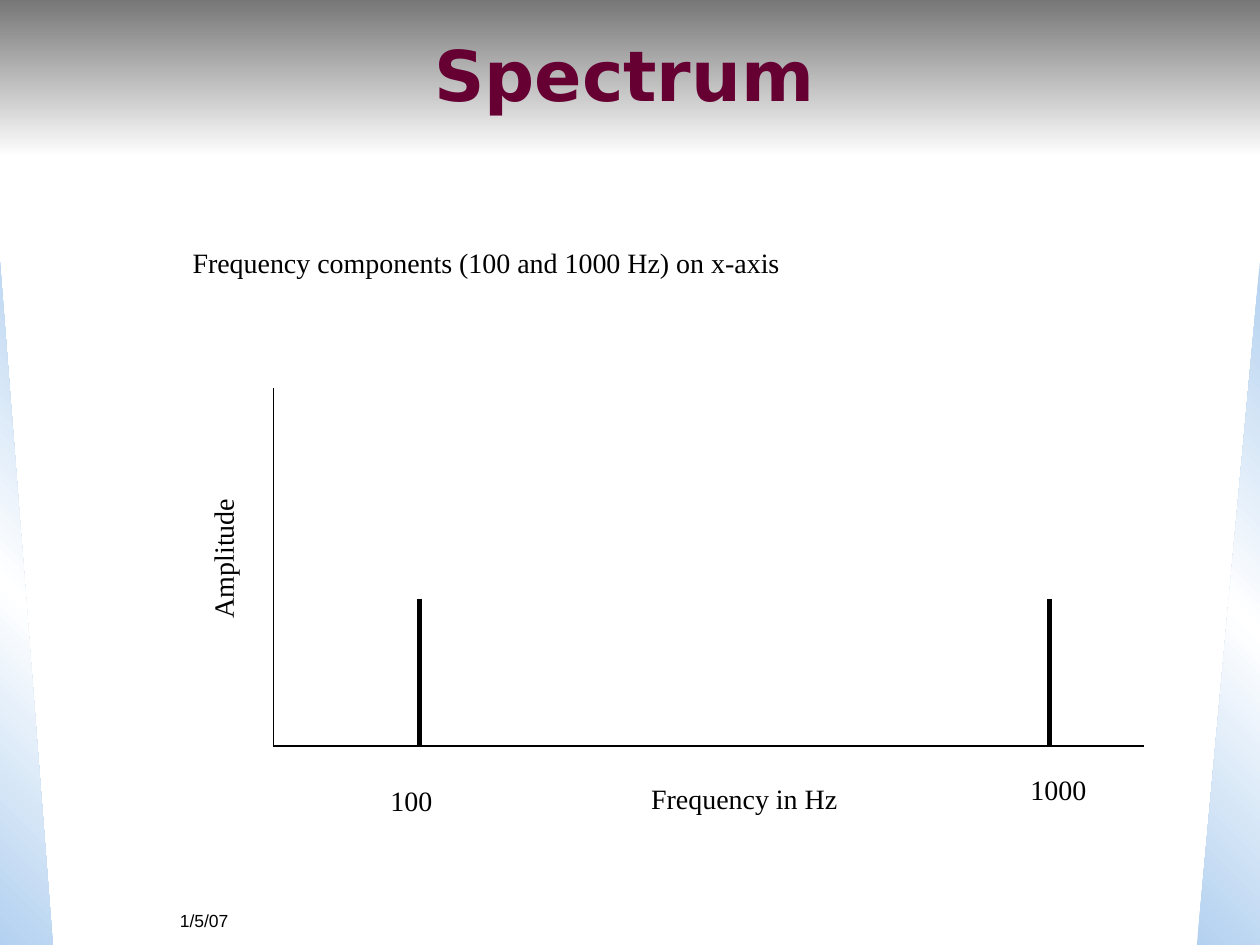
from copy import deepcopy

from lxml.etree import SubElement
from pptx import Presentation
from pptx.dml.color import RGBColor
from pptx.enum.shapes import MSO_CONNECTOR, MSO_SHAPE
from pptx.enum.text import MSO_ANCHOR, MSO_AUTO_SIZE, PP_ALIGN
from pptx.oxml.ns import qn
from pptx.util import Inches, Pt

BLACK = "000000"
EDGE_COLORS = ["B3D1F0", "FFFFFF", "B3D1F0"]
AXIS_X, AXIS_Y = 2.17, 5.92


def color(hex_text):
    """Turn a hex string into a colour."""
    return RGBColor.from_string(hex_text)


def style_font(paragraph, name, size, hex_text, bold=False):
    """Set the font of a whole paragraph."""
    font = paragraph.font
    font.name, font.size, font.bold = name, Pt(size), bold
    font.color.rgb = color(hex_text)


def add_gradient_shape(slide, preset, box, colors, clockwise_angle, mirrored=False):
    """Add a borderless decoration with evenly spaced gradient colours."""
    shape = slide.shapes.add_shape(preset, *map(Inches, box))
    shape.shadow.inherit = False
    shape.line.fill.background()
    shape.fill.gradient()
    shape.fill.gradient_angle = 360 - clockwise_angle
    properties = shape._element.spPr
    stop_list = properties.find(qn("a:gradFill")).find(qn("a:gsLst"))
    for _ in colors[2:]:
        stop_list.append(deepcopy(stop_list[0]))
    for index, (stop, hex_text) in enumerate(zip(shape.fill.gradient_stops, colors)):
        stop.color.rgb = color(hex_text)
        stop.position = index / (len(colors) - 1)
    if mirrored:
        properties.find(qn("a:xfrm")).set("flipH", "1")


def add_title(slide, text):
    """Fill the title and bring it in front of the top band."""
    title = slide.shapes.title
    title.left, title.top, title.width, title.height = map(Inches, (0.08, 0, 9.75, 1.17))
    title.text_frame.text = text
    title.text_frame.vertical_anchor = MSO_ANCHOR.MIDDLE
    paragraph = title.text_frame.paragraphs[0]
    paragraph.alignment = PP_ALIGN.CENTER
    style_font(paragraph, "DejaVu Sans", 40, "660033", bold=True)
    slide.shapes._spTree.append(title._element)


def add_label(slide, text, box, font="Times New Roman", size=16, wrap=True, rotation=0):
    """Add a one-line text box."""
    label = slide.shapes.add_textbox(*map(Inches, box))
    label.rotation = rotation
    frame = label.text_frame
    frame.word_wrap = wrap
    frame.auto_size = MSO_AUTO_SIZE.NONE
    frame.text = text
    style_font(frame.paragraphs[0], font, size, BLACK)


def add_line(slide, start, end, width):
    """Add a straight black line without a shadow."""
    line = slide.shapes.add_connector(
        MSO_CONNECTOR.STRAIGHT, *map(Inches, (*start, *end)))
    line.line.color.rgb = color(BLACK)
    line.line.width = Pt(width)
    SubElement(line._element.spPr, qn("a:effectLst"))


def add_spectrum(slide):
    """Draw the axes, the two components and their labels."""
    origin = (AXIS_X, AXIS_Y)
    add_line(slide, (AXIS_X, 3.08), origin, 0.75)
    add_line(slide, origin, (9.08, AXIS_Y), 0.75)
    for component_x in (3.33, 8.33):
        add_line(slide, (component_x, 4.75), (component_x, AXIS_Y), 3)
    add_label(slide, "100", (3, 6.17, 1.25, 0.37))
    add_label(slide, "1000", (8.08, 6.08, 1.08, 0.37))
    add_label(slide, "Frequency in Hz", (5.07, 6.15, 1.67, 0.37), wrap=False)
    add_label(slide, "Amplitude", (1.06, 4.11, 1.42, 0.37), rotation=270)


def main():
    """Build and save the slide."""
    presentation = Presentation()
    presentation.slide_width, presentation.slide_height = Inches(10), Inches(7.5)
    slide = presentation.slides.add_slide(presentation.slide_layouts[5])
    add_gradient_shape(slide, MSO_SHAPE.RECTANGLE, (0, 0, 10, 1.25),
                       ["777777", "FFFFFF"], 90)
    add_gradient_shape(slide, MSO_SHAPE.RIGHT_TRIANGLE, (0, 2.08, 0.42, 5.42),
                       EDGE_COLORS, 135)
    add_gradient_shape(slide, MSO_SHAPE.RIGHT_TRIANGLE, (9.5, 2.08, 0.5, 5.42),
                       EDGE_COLORS, 225, mirrored=True)
    add_title(slide, "Spectrum")
    add_label(slide, "1/5/07", (1.33, 7.17, 8.17, 0.33), font="Arial", size=10)
    add_spectrum(slide)
    add_label(slide, "Frequency components (100 and 1000 Hz) on x-axis",
              (1.43, 1.9, 4.86, 0.37), wrap=False)
    presentation.save("out.pptx")


if __name__ == "__main__":
    main()
